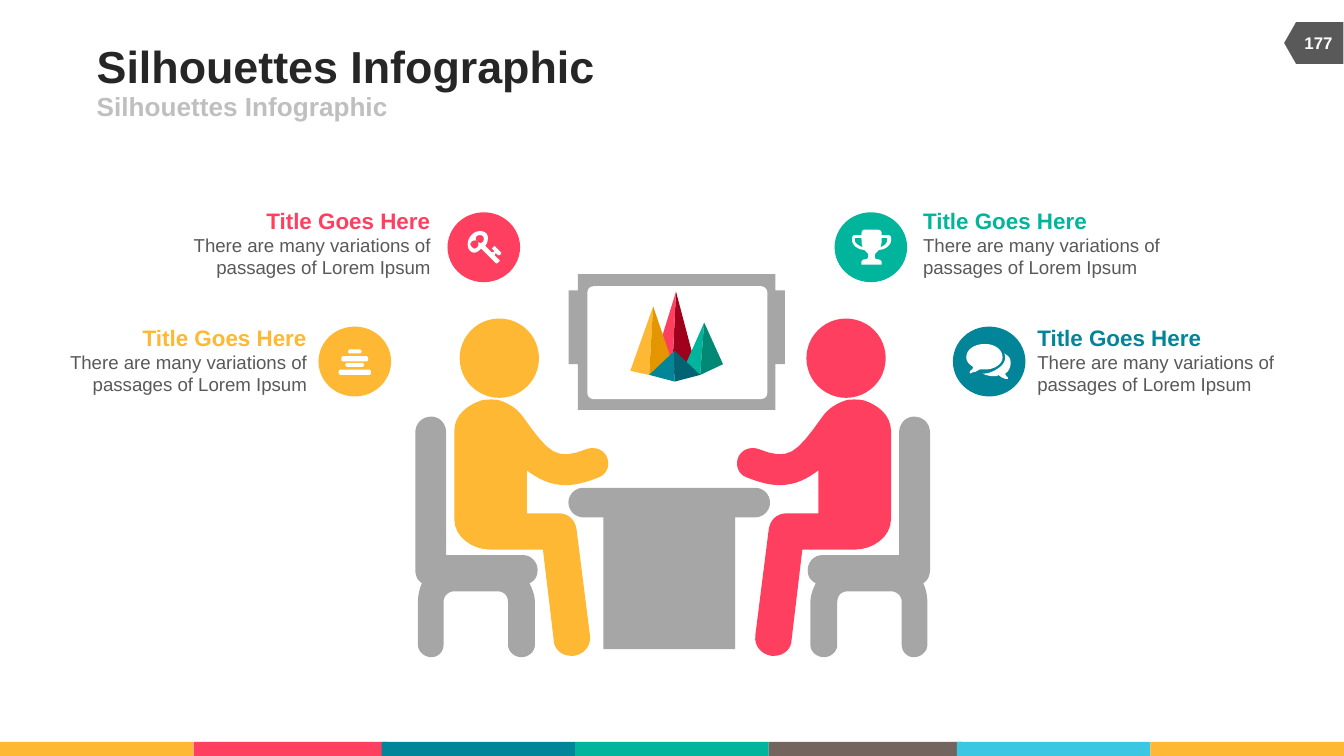
from collections import namedtuple

from pptx import Presentation
from pptx.dml.color import RGBColor
from pptx.enum.shapes import MSO_SHAPE
from pptx.enum.text import MSO_ANCHOR, PP_ALIGN
from pptx.util import Inches, Pt

# The 16:9 slide is a grid of square cells, 1000 columns wide.
COLUMNS = 1000
SLIDE_WIDTH = Inches(10)
SLIDE_HEIGHT = SLIDE_WIDTH * 9 // 16
CELL = SLIDE_WIDTH // COLUMNS
CURVE_STEPS = 8

COLORS = {
    "yellow": "FEB834", "amber": "E49601", "red": "FF3F5F", "crimson": "9F001B",
    "blue": "028599", "navy": "026473", "green": "01B59C", "pine": "018875",
    "brown": "73655D", "sky": "3BC7E2", "furniture": "A6A6A6", "white": "FFFFFF",
    "heading": "262626", "subheading": "BFBFBF", "body": "595959",
}

Box = namedtuple("Box", "left top width height")

# Outlines: a step of two numbers is a line, of six a curve; "|" parts contours.
TORSO = ("120,157 119,150,114,145,107,145 83,145 83,113 91,119,100,124,112,124 "
         "119,124,127,122,137,118 142,116,145,110,143,104 141,98,134,95,128,97 "
         "105,106,100,101,80,73 76,67,69,63,63,61 60,60,53,60,49,61 "
         "40,64,29,71,29,84 29,149 29,163,43,172,56,172 95,172 103,239 "
         "103,246,109,251,116,251 118,251 125,250,131,244,130,236")
CHAIR = ("91,187 91,181,86,176,80,176 23,176 23,85 23,78,18,73,12,73 "
         "5,73,0,78,0,85 0,187 0,192,2,195,5,197 3,201,2,206,2,211 2,243 "
         "2,248,7,252,12,252 17,252,21,248,21,243 21,211 21,206,25,203,29,203 "
         "61,203 66,203,69,206,69,211 69,243 69,248,74,252,79,252 "
         "84,252,89,248,89,243 89,211 89,206,87,201,85,197 89,195,91,192,91,187")
DESK = ("150,11 150,5,145,0,139,0 11,0 5,0,0,5,0,11 0,17,5,22,11,22 26,22 "
        "26,120 124,120 124,22 139,22 145,22,150,17,150,11")
SCREEN = "7,101 154,101 154,67 161,67 161,12 154,12 154,0 7,0 7,12 0,12 0,67 7,67"
PEAKS = [
    ("crimson", "77,75 80,13 95,70"), ("red", "80,13 77,75 62,71"),
    ("green", "101,36 98,75 85,72"), ("pine", "98,75 101,36 115,67"),
    ("yellow", "63,24 60,75 46,72"), ("amber", "60,75 63,24 79,71"),
    ("blue", "79,80 60,75 79,57"), ("navy", "79,57 98,75 79,80"),
]
KEY = ("38,32 38,32,36,31,36,30 35,32 38,35 39,36 37,38 36,38 25,27 "
       "24,28,22,30,20,30 17,30,15,27,15,24 15,19,19,14,24,14 28,14,30,16,30,19 "
       "30,22,29,24,28,25 33,30 35,29 33,27 35,25 36,26 40,30 40,31,39,32,38,32|"
       "24,17 22,17,21,18,21,20 21,20,21,21,22,21 20,21 19,21,17,22,17,24 "
       "17,25,19,27,20,27 22,27,23,25,23,24 23,22 24,23 26,23,27,21,27,20 "
       "27,18,26,17,24,17")
TROPHY = ("42,21 42,24,38,28,33,28 32,29,31,30,31,30 30,31,30,31,30,33 "
          "30,34,30,35,32,35 33,35,35,36,35,37 35,39 20,39 20,37 "
          "20,36,21,35,23,35 24,35,25,34,25,33 25,31,25,31,24,30 "
          "24,30,23,29,22,28 17,28,13,24,13,21 13,19 13,18,14,17,15,17 20,17 "
          "20,16 20,14,21,13,22,13 32,13 34,13,35,14,35,16 35,17 40,17 "
          "41,17,42,18,42,19|20,19 15,19 15,21 15,23,18,25,21,26 20,24,20,22,20,19|"
          "39,19 35,19 35,22,35,24,34,26 37,25,39,23,39,21")
CHAT = ("24,32 22,32,21,32,20,32 18,33,17,34,15,34 13,35 12,34,13,33,13,33 "
        "14,32,15,32,15,30 12,28,10,26,10,23 10,17,16,13,24,13 31,13,37,17,37,23 "
        "37,28,31,32,24,32|39,35 39,36,40,37,41,38 41,39 39,39 37,38,36,38,34,36 "
        "33,37,32,37,31,37 27,37,24,36,22,35 24,35 27,35,31,33,34,31 "
        "37,29,39,26,39,23 39,22,39,21,38,20 42,22,43,24,43,27 43,30,42,33,39,35")
BARS = "|".join(
    f"{l + 1},{t} {r - 1},{t} {r},{t + 1} {r},{b - 1} {r - 1},{b} {l + 1},{b} {l},{b - 1} {l},{t + 1}"
    for l, t, r, b in [(22, 17, 32, 20), (17, 22, 37, 26), (20, 27, 34, 30), (15, 32, 39, 36)])


def within(box, left, top, width, height):
    return Box(box.left + left, box.top + top, width, height)


def paint(shape, color):
    shape.shadow.inherit = False
    shape.fill.solid()
    shape.fill.fore_color.rgb = RGBColor.from_string(COLORS[color])
    shape.line.fill.background()
    return shape


def add_preset(slide, preset, box, color):
    return paint(slide.shapes.add_shape(preset, *(n * CELL for n in box)), color)


def flatten(contour):
    """Turn the steps of one contour into points, curves into short lines."""
    points = []
    for step in contour.split():
        n = [float(number) for number in step.split(",")]
        if len(n) == 2:
            points.append(tuple(n))
            continue
        start = points[-1]
        for i in range(1, CURVE_STEPS + 1):
            t = i / CURVE_STEPS
            u = 1 - t
            points.append(tuple(
                u**3 * start[a] + 3 * u * u * t * n[a] + 3 * u * t * t * n[2 + a] + t**3 * n[4 + a]
                for a in (0, 1)))
    return points


def add_outline(slide, box, outline, color, mirrored=False):
    builder = None
    for contour in outline.split("|"):
        points = [((box.left + (box.width - x if mirrored else x)) * CELL, (box.top + y) * CELL)
                  for x, y in flatten(contour)]
        if builder is None:
            builder = slide.shapes.build_freeform(*points[0], scale=1.0)
        else:
            builder.move_to(*points[0])
        builder.add_line_segments(points[1:], close=True)
    paint(builder.convert_to_shape(), color)


def add_text(slide, box, lines, align=PP_ALIGN.LEFT, **frame_format):
    """Write lines of (words, points, bold, color), one paragraph each."""
    frame = slide.shapes.add_textbox(*(n * CELL for n in box)).text_frame
    for name, value in {"word_wrap": True, **frame_format}.items():
        setattr(frame, name, value)
    for i, (words, points, bold, color) in enumerate(lines):
        paragraph = frame.add_paragraph() if i else frame.paragraphs[0]
        paragraph.alignment = align
        run = paragraph.add_run()
        run.text = words
        for name, value in {"name": "Arial", "size": Pt(points), "bold": bold}.items():
            setattr(run.font, name, value)
        run.font.color.rgb = RGBColor.from_string(COLORS[color])


def add_header(slide, box):
    flush = dict.fromkeys(("margin_left", "margin_top", "margin_right", "margin_bottom"), 0)
    flush["vertical_anchor"] = MSO_ANCHOR.MIDDLE
    for top, width, height, points, color in [(0, 617, 39, 24, "heading"),
                                              (39, 450, 22, 14, "subheading")]:
        add_text(slide, within(box, 0, top, width, height),
                 [("Silhouettes Infographic", points, True, color)], **flush)


def add_page_tag(slide, box):
    tag = add_preset(slide, MSO_SHAPE.FLOWCHART_OFFPAGE_CONNECTOR, within(box, 2, 0, 31, 44), "body")
    tag.rotation = 90
    add_text(slide, within(box, 0, 7, 42, 30), [("177", 9, True, "white")],
             PP_ALIGN.CENTER, vertical_anchor=MSO_ANCHOR.MIDDLE)


def add_footer(slide, box):
    strips = {0: "yellow", 144: "red", 284: "blue", 428: "green",
              572: "brown", 712: "sky", 856: "yellow"}
    for left, color in strips.items():
        add_preset(slide, MSO_SHAPE.RECTANGLE, within(box, left, 0, 144, box.height), color)


def add_screen(slide, box):
    add_outline(slide, box, SCREEN, "furniture")
    panel = add_preset(slide, MSO_SHAPE.ROUNDED_RECTANGLE, within(box, 14, 9, 134, 84), "white")
    panel.adjustments[0] = 0.055
    for color, facet in PEAKS:
        add_outline(slide, box, facet, color)


def add_sitter(slide, box, color, mirrored=False):
    head = 59
    head_left = box.width - 33 - head if mirrored else 33
    add_preset(slide, MSO_SHAPE.OVAL, within(box, head_left, 0, head, head), color)
    add_outline(slide, box, TORSO, color, mirrored)
    add_outline(slide, box, CHAIR, "furniture", mirrored)


def add_topic(slide, badge, caption, glyph, color, align):
    add_preset(slide, MSO_SHAPE.OVAL, badge, color)
    add_outline(slide, badge, glyph, "white")
    add_text(slide, caption,
             [("Title Goes Here", 12, True, color),
              ("There are many variations of passages of Lorem Ipsum", 10, False, "body")], align)


def main():
    deck = Presentation()
    deck.slide_width, deck.slide_height = SLIDE_WIDTH, SLIDE_HEIGHT
    slide = deck.slides.add_slide(deck.slide_layouts[6])
    add_footer(slide, Box(0, 552, COLUMNS, 10.5))
    add_page_tag(slide, Box(960, 10, 42, 44))
    add_header(slide, Box(72, 29, 617, 61))
    add_screen(slide, Box(423, 204, 161, 101))
    add_sitter(slide, Box(309, 237, 145, 252), "yellow")
    add_sitter(slide, Box(547, 237, 145, 252), "red", mirrored=True)
    add_outline(slide, Box(423, 363, 150, 120), DESK, "furniture")
    for badge_top, caption_top, row in [
            (158, 149, [(333, 97, KEY, "red", PP_ALIGN.RIGHT),
                        (621, 677, TROPHY, "green", PP_ALIGN.LEFT)]),
            (243, 236, [(237, 5, BARS, "yellow", PP_ALIGN.RIGHT),
                        (709, 762, CHAT, "blue", PP_ALIGN.LEFT)])]:
        for badge_left, caption_left, glyph, color, align in row:
            add_topic(slide, Box(badge_left, badge_top, 54, 52),
                      Box(caption_left, caption_top, 233, 64), glyph, color, align)
    deck.save("out.pptx")


if __name__ == "__main__":
    main()
